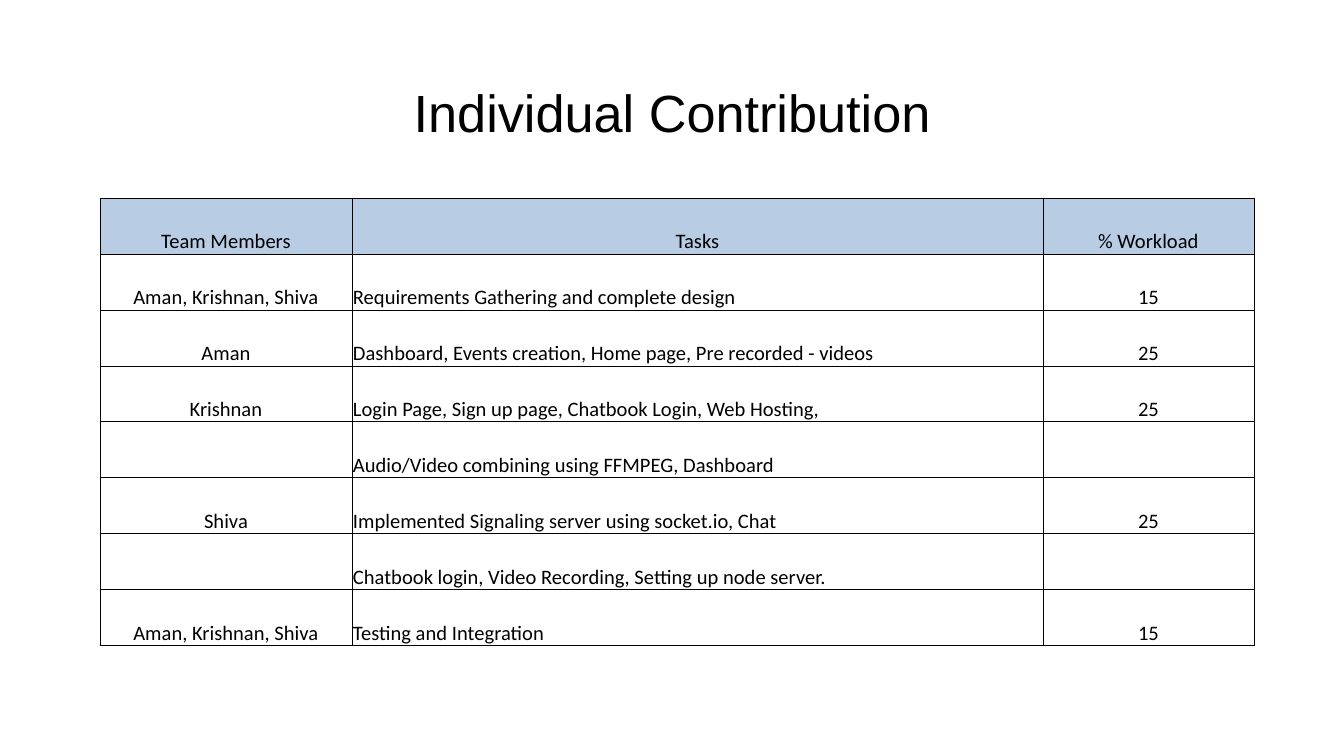
import pptx
import pptx.dml.color
import pptx.enum.text
import pptx.util
from lxml import etree
from pptx.oxml.ns import qn

PX = 914400 / 134.4
COLORS = {"text": "000000", "border": "000000", "header": "B8CCE4", "body": "FFFFFF"}
ALIGN = pptx.enum.text.PP_ALIGN
ANCHOR = pptx.enum.text.MSO_ANCHOR

COLUMN_WIDTHS = [252, 691, 211]
ROW_HEIGHT = 56
TASK_COLUMN = 1
ROWS = [
    ("Team Members", "Tasks", "% Workload"),
    ("Aman, Krishnan, Shiva", "Requirements Gathering and complete design", "15"),
    ("Aman", "Dashboard, Events creation, Home page, Pre recorded - videos", "25"),
    ("Krishnan", "Login Page, Sign up page, Chatbook Login, Web Hosting,", "25"),
    ("", "Audio/Video combining using FFMPEG, Dashboard", ""),
    ("Shiva", "Implemented Signaling server using socket.io, Chat", "25"),
    ("", "Chatbook login, Video Recording, Setting up node server.", ""),
    ("Aman, Krishnan, Shiva", "Testing and Integration", "15"),
]


def px(n):
    return pptx.util.Emu(round(n * PX))


def rgb(name):
    return pptx.dml.color.RGBColor.from_string(COLORS[name])


def format_text(tf, font, size, align):
    for p in tf.paragraphs:
        p.alignment = align
        for r in p.runs:
            r.font.name = font
            r.font.size = pptx.util.Pt(size)
            r.font.color.rgb = rgb("text")


def add_title(s, text, left, top, width, height):
    tf = s.shapes.add_textbox(px(left), px(top), px(width), px(height)).text_frame
    tf.word_wrap = True
    tf.vertical_anchor = ANCHOR.BOTTOM
    tf.margin_left = tf.margin_right = tf.margin_top = tf.margin_bottom = px(13)
    tf.text = text
    format_text(tf, "Arial", 28, ALIGN.CENTER)


def set_borders(cell):
    tc_pr = cell._tc.get_or_add_tcPr()
    for side in ("a:lnL", "a:lnR", "a:lnT", "a:lnB"):
        line = etree.SubElement(tc_pr, qn(side), w=str(pptx.util.Pt(0.5)))
        fill = etree.SubElement(line, qn("a:solidFill"))
        etree.SubElement(fill, qn("a:srgbClr"), val=COLORS["border"])


def fill_cell(cell, text, align, color):
    cell.text = text
    cell.vertical_anchor = ANCHOR.BOTTOM
    cell.margin_left = cell.margin_right = cell.margin_top = px(1)
    cell.margin_bottom = 0
    format_text(cell.text_frame, "Calibri", 11, align)
    set_borders(cell)
    cell.fill.solid()
    cell.fill.fore_color.rgb = rgb(color)


def add_contribution_table(s, left, top):
    table = s.shapes.add_table(
        len(ROWS), len(COLUMN_WIDTHS), px(left), px(top),
        px(sum(COLUMN_WIDTHS)), px(ROW_HEIGHT * len(ROWS))).table
    table.horz_banding = False
    for column, width in zip(table.columns, COLUMN_WIDTHS):
        column.width = px(width)
    for i, texts in enumerate(ROWS):
        table.rows[i].height = px(ROW_HEIGHT)
        for j, text in enumerate(texts):
            is_task = i > 0 and j == TASK_COLUMN
            fill_cell(table.cell(i, j), text,
                      ALIGN.LEFT if is_task else ALIGN.CENTER,
                      "body" if i else "header")
    # The header is styled cell by cell, without the bold of the table style
    table.first_row = False


def main():
    prs = pptx.Presentation()
    prs.slide_width, prs.slide_height = px(1344), px(756)
    s = prs.slides.add_slide(prs.slide_layouts[6])

    # Title
    add_title(s, "Individual Contribution", 67, 0, 1210, 156)

    # Team members, their tasks and share of the work
    add_contribution_table(s, 100, 198)

    prs.save("out.pptx")


if __name__ == "__main__":
    main()
